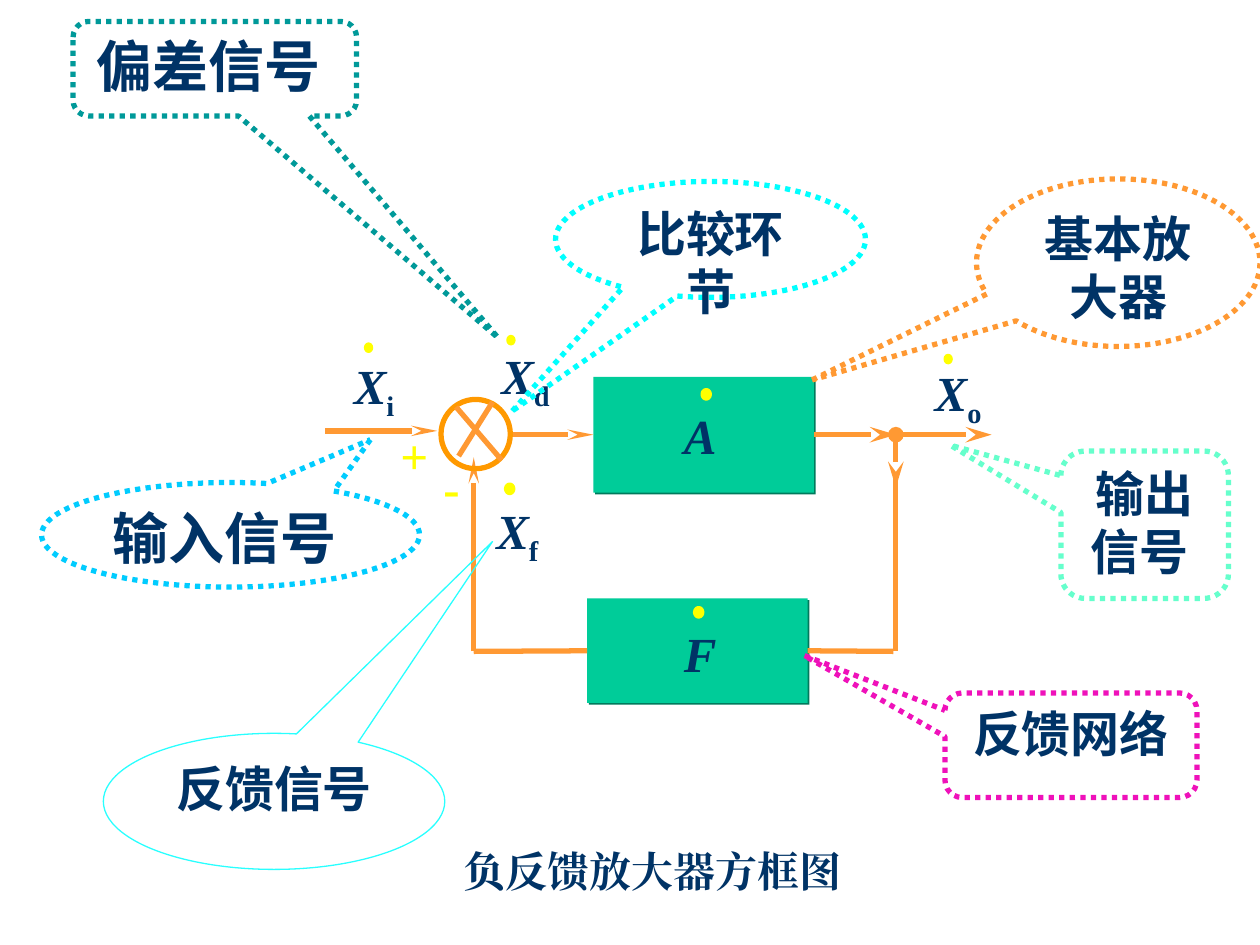
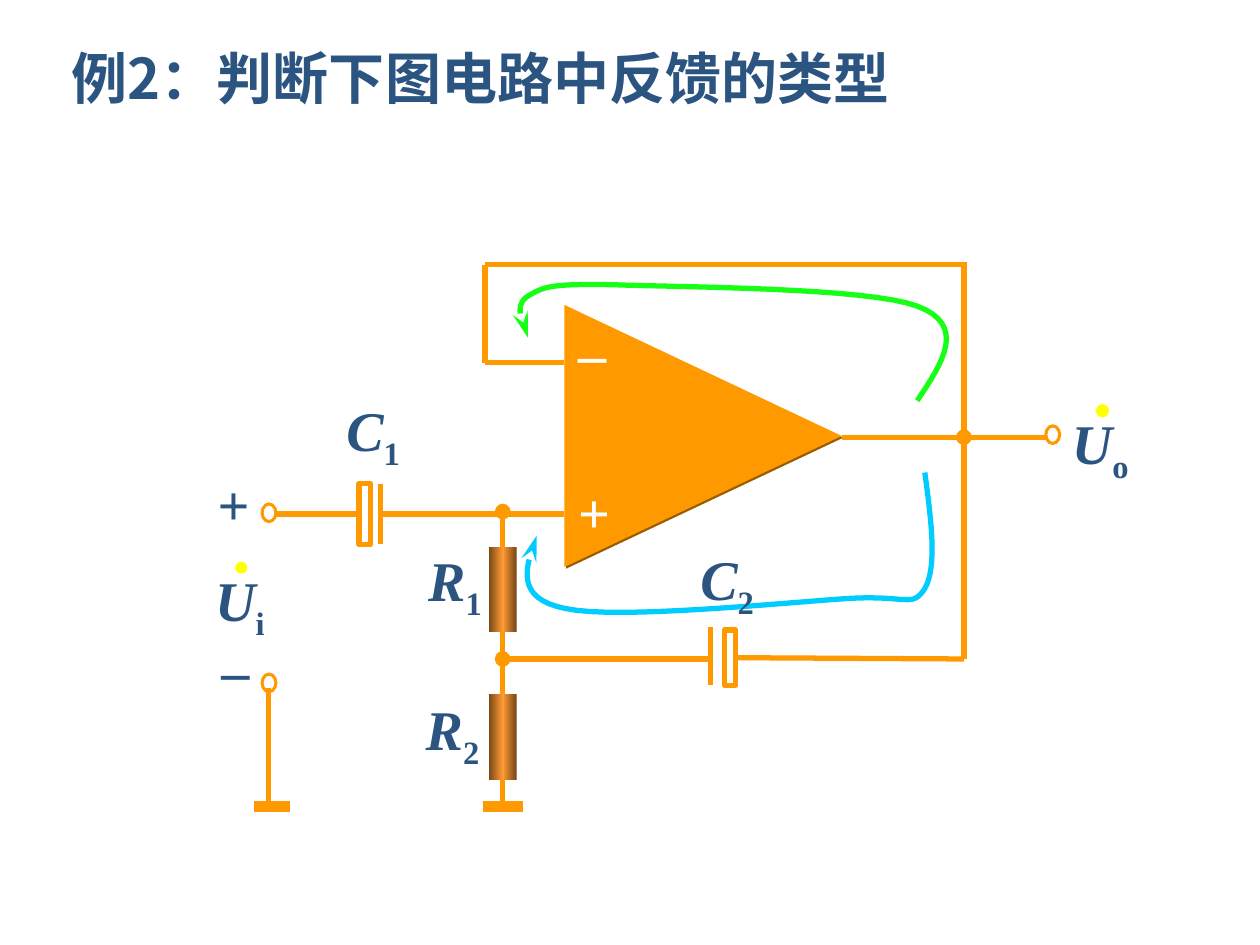
import pptx
import pptx.dml.color
import pptx.enum.dml
import pptx.enum.shapes
import pptx.enum.text
import pptx.oxml.ns
import pptx.util
from lxml import etree

Inches = pptx.util.Inches
Pt = pptx.util.Pt
qn = pptx.oxml.ns.qn
SHAPE = pptx.enum.shapes.MSO_SHAPE
ALIGN = pptx.enum.text.PP_ALIGN

COLORS = {
    "navy": "003366", "slate": "2B5481", "white": "FFFFFF", "yellow": "FFFF00",
    "green": "00CC99", "green shade": "007A5C", "wire": "FF9933",
    "orange": "FF9900", "orange shade": "995C00", "brown": "764718",
    "cyan": "00FFFF", "pale cyan": "29FFFF", "teal": "009999", "sky": "00CCFF",
    "mint": "66FFCC", "magenta": "EF11BA", "lime": "17FF17",
}
CJK = "Noto Sans CJK SC"
SERIF = "Times New Roman"


def rgb(color):
    return pptx.dml.color.RGBColor.from_string(COLORS[color])


def cubic(start, control1, control2, end, steps=16):
    """Points on a Bezier curve after its start."""
    for step in range(1, steps + 1):
        t = step / steps
        weights = ((1 - t) ** 3, 3 * t * (1 - t) ** 2, 3 * t * t * (1 - t), t ** 3)
        yield tuple(sum(w * point[axis] for w, point in
                        zip(weights, (start, control1, control2, end)))
                    for axis in (0, 1))


class Diagram:
    def __init__(self, presentation):
        self.presentation = presentation

    def new_slide(self, layout, ink, size, wire):
        self.slide = self.presentation.slides.add_slide(
            self.presentation.slide_layouts[layout])
        self.ink, self.size, self.wire_color = ink, size, wire

    def format_run(self, run, size, color, font, italic=False):
        run.font.size = Pt(size)
        run.font.bold = True
        run.font.italic = italic
        run.font.color.rgb = rgb(color)
        run.font.name = font
        east_asian = etree.SubElement(run.font._element, qn("a:ea"))
        east_asian.set("typeface", font)

    def title(self, text, left, top, width, height):
        heading = self.slide.shapes.title
        heading.left, heading.top = Inches(left), Inches(top)
        heading.width, heading.height = Inches(width), Inches(height)
        frame = heading.text_frame
        frame.text = text
        frame.auto_size = pptx.enum.text.MSO_AUTO_SIZE.NONE
        frame.vertical_anchor = pptx.enum.text.MSO_ANCHOR.MIDDLE
        frame.paragraphs[0].alignment = ALIGN.LEFT
        self.format_run(frame.paragraphs[0].runs[0], 32, self.ink, CJK)

    def label(self, text, left, top, subscript="", italic=False, color=None,
              size=None, width=1, height=1):
        box = self.slide.shapes.add_textbox(
            Inches(left), Inches(top), Inches(width), Inches(height))
        box.text_frame.word_wrap = True
        paragraph = box.text_frame.paragraphs[0]
        paragraph.text = text
        paragraph.alignment = ALIGN.JUSTIFY
        size, color = size or self.size, color or self.ink
        self.format_run(paragraph.runs[0], size, color, SERIF, italic)
        if subscript:
            index = paragraph.add_run()
            index.text = subscript
            self.format_run(index, size, color, SERIF)
            index.font._element.set("baseline", "-25000")
        return paragraph

    def caption(self, text, left, top, width, height, size):
        paragraph = self.label(text, left, top, size=size, width=width, height=height)
        paragraph.line_spacing = Pt(round(size * 1.18))

    def shape(self, kind, left, top, width, height, fill=None, line=None,
              line_width=3.0, shade=None):
        """Preset shape; shade is the colour of a hard lower-right shadow."""
        form = self.slide.shapes.add_shape(
            kind, Inches(left), Inches(top), Inches(width), Inches(height))
        form.shadow.inherit = False
        if fill:
            form.fill.solid()
            form.fill.fore_color.rgb = rgb(fill)
        else:
            form.fill.background()
        if line:
            form.line.color.rgb = rgb(line)
            form.line.width = Pt(line_width)
        else:
            form.line.fill.background()
        if shade:
            effects = form._element.spPr.find(qn("a:effectLst"))
            shadow = etree.SubElement(effects, qn("a:outerShdw"), dist=str(Pt(1.4)),
                                      dir="2700000", algn="ctr", rotWithShape="0")
            etree.SubElement(shadow, qn("a:srgbClr"), val=COLORS[shade])
        return form

    def phasor_dot(self, left, top, width=0.05, height=0.06, line_width=1.75):
        self.shape(SHAPE.OVAL, left, top, width, height, "yellow", "yellow", line_width)

    def terminal(self, left, top):
        self.shape(SHAPE.OVAL, left, top, 0.11, 0.14, "white", "orange", 1.75)

    def resistor(self, left, top):
        body = self.shape(SHAPE.RECTANGLE, left, top, 0.22, 0.68)
        body.fill.gradient()
        body.fill.gradient_angle = 0
        stops = body._element.spPr.find(qn("a:gradFill")).find(qn("a:gsLst"))
        for stop in list(stops):
            stops.remove(stop)
        for position, color in ((0, "brown"), (50, "wire"), (100, "brown")):
            stop = etree.SubElement(stops, qn("a:gs"), pos=str(position * 1000))
            etree.SubElement(stop, qn("a:srgbClr"), val=COLORS[color])

    def callout(self, kind, text, box, tip, line, size=28, font=CJK, dotted=True):
        """Outlined callout; tip is the pointer's offset in widths and heights."""
        bubble = self.shape(kind, *box, line=line, line_width=3 if dotted else 0.75)
        bubble.adjustments[0], bubble.adjustments[1] = tip
        if dotted:
            bubble.line.dash_style = pptx.enum.dml.MSO_LINE.ROUND_DOT
        frame = bubble.text_frame
        frame.text = text
        frame.word_wrap = True
        frame.vertical_anchor = pptx.enum.text.MSO_ANCHOR.TOP
        paragraph = frame.paragraphs[0]
        paragraph.alignment = ALIGN.CENTER
        paragraph.line_spacing = Pt(round(size * 1.18))
        self.format_run(paragraph.runs[0], size, self.ink, font)

    def line_ends(self, form, dot, arrow):
        """Oval at the start and long stealth arrow of width arrow at the end."""
        stroke = form.line._get_or_add_ln()
        if dot:
            etree.SubElement(stroke, qn("a:headEnd"), type="oval")
        if arrow:
            etree.SubElement(stroke, qn("a:tailEnd"), type="stealth", w=arrow, len="lg")

    def wire(self, start, end, width=3, dot=False, arrow=None,
             begin_at=None, end_at=None):
        """Straight wire; begin_at and end_at are (shape, side) pairs to join."""
        link = self.slide.shapes.add_connector(
            pptx.enum.shapes.MSO_CONNECTOR.STRAIGHT,
            *(Inches(value) for value in (*start, *end)))
        link.line.color.rgb = rgb(self.wire_color)
        link.line.width = Pt(width)
        self.line_ends(link, dot, arrow)
        etree.SubElement(link._element.spPr, qn("a:effectLst"))
        if begin_at:
            link.begin_connect(*begin_at)
        if end_at:
            link.end_connect(*end_at)

    def curve(self, start, segments, color):
        points = [start]
        for segment in segments:
            points.extend(cubic(points[-1], *segment))
        points = [(Inches(x), Inches(y)) for x, y in points]
        builder = self.slide.shapes.build_freeform(*points[0])
        builder.add_line_segments(points[1:], close=False)
        path = builder.convert_to_shape()
        path.shadow.inherit = False
        path.fill.background()
        path.line.color.rgb = rgb(color)
        path.line.width = Pt(3)
        self.line_ends(path, False, "med")


def feedback_blocks(diagram):
    diagram.new_slide(6, ink="navy", size=28, wire="wire")
    feedback = diagram.shape(SHAPE.RECTANGLE, 4.66, 4.75, 1.75, 0.83,
                             "green", shade="green shade")
    amplifier = diagram.shape(SHAPE.RECTANGLE, 4.71, 2.99, 1.75, 0.92,
                              "green", shade="green shade")

    forward, back = 3.45, 5.17
    sum_x, node_x = 3.76, 7.11
    node = (node_x, forward)
    diagram.wire((6.46, forward), node, arrow="med", begin_at=(amplifier, 3))
    diagram.wire(node, (node_x, 3.87), dot=True, arrow="med")
    diagram.wire(node, (7.87, forward), arrow="med")
    diagram.wire((node_x, 3.76), (node_x, back))
    diagram.wire((7.09, back), (6.41, back), end_at=(feedback, 3))
    diagram.wire((4.66, back), (sum_x, back), begin_at=(feedback, 1))
    diagram.wire((sum_x, back), (sum_x, 3.63), arrow="sm")
    diagram.wire((4.06, forward), (4.71, forward), arrow="sm", end_at=(amplifier, 1))
    diagram.wire((2.58, 3.42), (3.47, 3.42), arrow="sm")
    diagram.shape(SHAPE.OVAL, 3.5, 3.17, 0.55, 0.55, line="orange")
    diagram.wire((3.91, 3.19), (3.64, 3.62))
    diagram.wire((3.62, 3.23), (3.98, 3.65))

    for letter, index, left, top, dot_left, dot_top, dot_line in (
            ("X", "o", 7.32, 2.83, 7.5, 2.82, 1.75),
            ("X", "i", 2.71, 2.77, 2.9, 2.73, 1.75),
            ("X", "d", 3.88, 2.69, 4.03, 2.67, 1.75),
            ("X", "f", 3.84, 3.92, 4.02, 3.85, 3),
            ("A", "", 5.33, 3.17, 5.58, 3.1, 3),
            ("F", "", 5.33, 4.9, 5.52, 4.83, 3)):
        diagram.label(letter, left, top, index, italic=True, width=0.85)
        diagram.phasor_dot(dot_left, dot_top, line_width=dot_line)
    diagram.label("-", 3.42, 3.58, color="yellow", width=0.79)
    diagram.label("+", 3.08, 3.33, color="yellow", width=0.79)

    ellipse, rounded = SHAPE.OVAL_CALLOUT, SHAPE.ROUNDED_RECTANGULAR_CALLOUT
    diagram.callout(ellipse, "比较环节", (4.41, 1.44, 2.46, 0.92), (-0.64, 1.48), "cyan")
    diagram.callout(rounded, "偏差信号 ", (0.58, 0.17, 2.25, 0.75), (1, 2.85), "teal", 32)
    diagram.callout(ellipse, "基本放大器", (7.75, 1.42, 2.25, 1.33), (-1.08, 0.7), "wire")
    diagram.callout(ellipse, "输入信号 ", (0.33, 3.83, 3, 0.83), (0.37, -0.91), "sky", 32)
    diagram.callout(rounded, "输出信号 ", (8.42, 3.58, 1.33, 1.17), (-1.16, -0.54), "mint")
    diagram.callout(rounded, "反馈网络", (7.5, 5.5, 2, 0.83), (-1.06, -0.86), "magenta")
    diagram.callout(ellipse, "反馈信号", (0.82, 5.82, 2.71, 1.08), (0.64, -1.91),
                    "pale cyan", font="Karla", dotted=False)
    diagram.caption("负反馈放大器方框图 ", 3.58, 6.67, 3.83, 0.8, size=24)


def feedback_circuit(diagram):
    diagram.new_slide(5, ink="slate", size=32, wire="orange")
    diagram.title("例2：判断下图电路中反馈的类型", 0.47, 0.25, 9, 0.72)

    diagram.curve((7.28, 3.18), (
        ((7.48, 2.88), (7.68, 2.58), (7.28, 2.43)),
        ((6.88, 2.28), (5.38, 2.28), (4.86, 2.26)),
        ((4.35, 2.25), (4.31, 2.28), (4.19, 2.35)),
        ((4.08, 2.42), (4.14, 2.55), (4.19, 2.68))), "lime")
    diagram.curve((7.34, 3.75), (
        ((7.39, 4.12), (7.44, 4.5), (7.34, 4.67)),
        ((7.24, 4.83), (7.2, 4.72), (6.73, 4.75)),
        ((6.25, 4.78), (4.9, 4.92), (4.49, 4.83)),
        ((4.08, 4.75), (4.17, 4.5), (4.26, 4.25))), "sky")

    op_amp = diagram.shape(SHAPE.ISOSCELES_TRIANGLE, 4.54, 2.36, 2.08, 2.2,
                           "orange", shade="orange shade")
    op_amp.rotation = 90
    input_plate = diagram.shape(SHAPE.RECTANGLE, 2.85, 3.84, 0.09, 0.48,
                                "white", "orange")
    output_plate = diagram.shape(SHAPE.RECTANGLE, 5.75, 5, 0.09, 0.44,
                                 "white", "orange")

    loop_x, bias_x, output_x = 3.85, 3.99, 7.65
    loop_y, inverting_y, output_y, input_y, tap_y = 2.1, 2.88, 3.47, 4.08, 5.23
    ground_y = 6.4
    output_node = (output_x, output_y)
    diagram.wire((4.48, inverting_y), (loop_x, inverting_y))
    diagram.wire((loop_x, inverting_y), (loop_x, loop_y))
    diagram.wire((loop_x, loop_y), (output_x, loop_y))
    diagram.wire(output_node, (output_x, 2.08))
    diagram.wire(output_node, (output_x, tap_y), dot=True)
    diagram.wire((6.68, output_y), (8.34, output_y))
    diagram.wire((4.48, input_y), (3.02, input_y))
    diagram.wire((2.85, input_y), (2.13, input_y), begin_at=(input_plate, 1))
    diagram.wire((bias_x, 4.06), (bias_x, ground_y), dot=True)
    diagram.wire((bias_x, tap_y), (5.64, tap_y), dot=True)
    diagram.wire((5.84, tap_y), (output_x, tap_y), begin_at=(output_plate, 3))
    diagram.wire((3.02, 3.84), (3.02, 4.32))
    diagram.wire((5.64, 4.98), (5.64, 5.44))
    for left, right in ((3.83, 4.15), (2.02, 2.3)):
        diagram.wire((left, ground_y), (right, ground_y), width=6)
    for left, top in ((2.08, 4), (2.08, 5.35), (8.3, 3.38)):
        diagram.terminal(left, top)
    diagram.wire((2.13, ground_y), (2.13, 5.46))
    for top in (4.34, 5.51):
        diagram.resistor(3.88, top)

    for letter, index, left, top in (
            ("U", "i", 1.61, 4.44), ("U", "o", 8.41, 3.19),
            ("C", "1", 2.65, 3.09), ("C", "2", 5.46, 4.27),
            ("R", "1", 3.3, 4.28), ("R", "2", 3.28, 5.46)):
        diagram.label(letter, left, top, index, italic=True)
    for sign, left, top, color in (
            ("_", 4.49, 2.33, "white"), ("+", 4.49, 3.74, "white"),
            ("+", 1.63, 3.68, "slate"), ("_", 1.66, 4.84, "slate")):
        diagram.label(sign, left, top, color=color, width=0.83)
    diagram.phasor_dot(1.88, 4.47, 0.07, 0.07)
    diagram.phasor_dot(8.71, 3.22, 0.08, 0.08)


def main():
    presentation = pptx.Presentation()
    presentation.slide_width, presentation.slide_height = Inches(10), Inches(7.5)
    diagram = Diagram(presentation)
    feedback_blocks(diagram)
    feedback_circuit(diagram)
    presentation.save("out.pptx")


if __name__ == "__main__":
    main()
